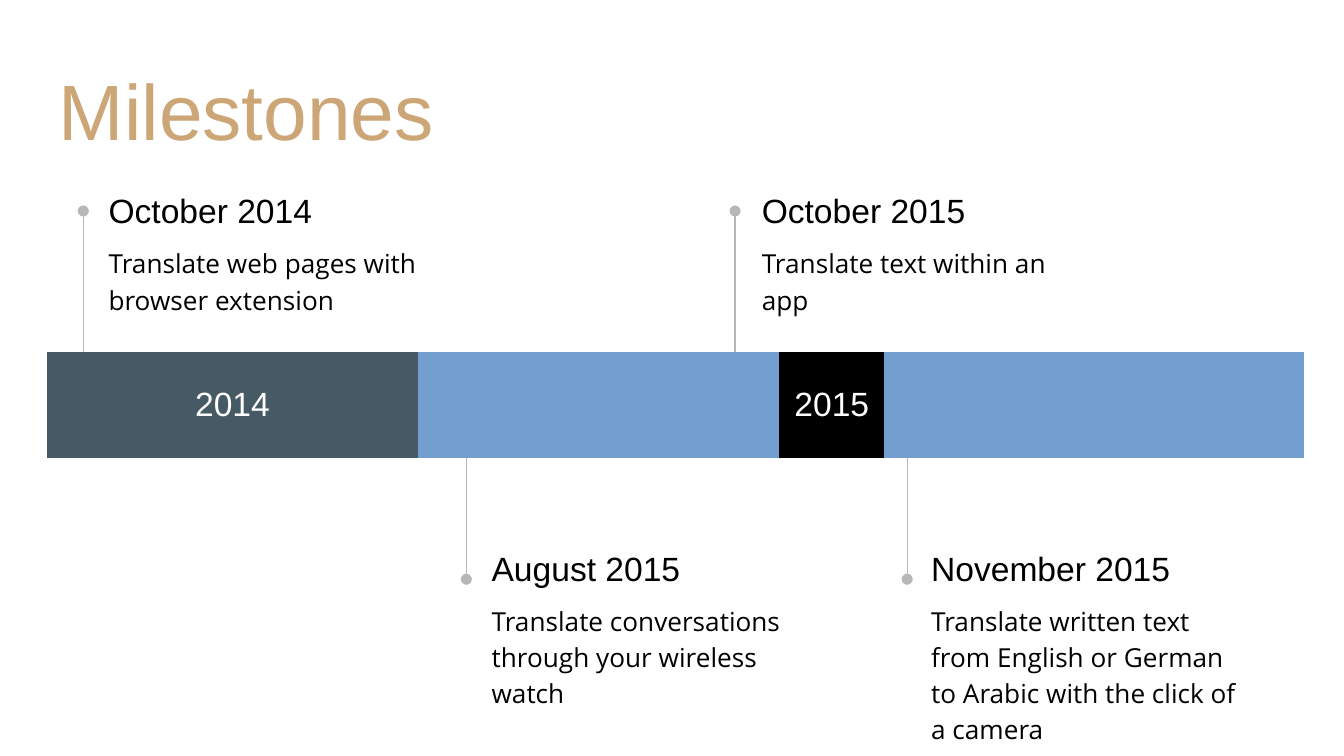
from lxml.etree import SubElement as Sub
from pptx import Presentation
from pptx.dml.color import RGBColor
from pptx.enum.shapes import MSO_CONNECTOR as Link
from pptx.enum.text import MSO_ANCHOR as Anchor, PP_ALIGN as Align
from pptx.oxml.ns import qn
from pptx.util import Inches, Pt

TITLE = "Milestones"
COLS = [0.78] * 3 + [0.42, 1.13] + [0.78] * 7
YEARS = [("2014", 0, 3, "455A64"), ("2015", 4, 11, "000000")]
EVENTS = [
    ("October 2014", "Translate web pages with browser extension", 0.62, 0.71, 2.53, True),
    ("August 2015", "Translate conversations through your wireless watch", 3.47, 3.56, 2.53, False),
    ("October 2015", "Translate text within an app", 5.47, 5.57, 2.57, True),
    ("November 2015",
     "Translate written text from English or German to Arabic with the click of a camera",
     6.75, 6.83, 2.57, False),
]
WIDE = 10
LEFT, TOP, TALL, SIDE = 0.35, 2.62, 0.79, 3.28
PLAIN = "{2D5ABB26-0587-4C30-8999-92F81FD0307C}"
HEAD = {"name": "Arial", "size": Pt(18)}
BODY = {"name": "Open Sans", "size": Pt(14)}
BIG = {"name": "Arial", "size": Pt(42)}
PAD = {f"margin_{side}": Inches(0.1) for side in ("left", "right", "top", "bottom")}


def color(code):
    return RGBColor.from_string(code)


def apply(item, values):
    for key, value in values.items():
        setattr(item, key, value)


def paint(cell, code):
    cell.fill.solid()
    cell.fill.fore_color.rgb = color(code)


def write(frame, text, font, code, **form):
    para = frame.paragraphs[0]
    apply(para, form)
    run = para.add_run()
    run.text = text
    apply(run.font, font)
    run.font.color.rgb = color(code)


def label(slide, box, text, font, code, anchor, **form):
    frame = slide.shapes.add_textbox(*map(Inches, box)).text_frame
    apply(frame, {**PAD, "word_wrap": True, "vertical_anchor": anchor})
    write(frame, text, font, code, **form)


def stem(slide, x, start, end):
    line = slide.shapes.add_connector(Link.STRAIGHT, *map(Inches, (x, start, x, end)))
    line.line.color.rgb = color("B7B7B7")
    line.line.width = Pt(0.75)
    Sub(line.line._get_or_add_ln(), qn("a:tailEnd"), type="oval")
    Sub(line._element.spPr, qn("a:effectLst"))


def bar(slide):
    frame = slide.shapes.add_table(1, len(COLS), *map(Inches, (LEFT, TOP, SIDE, SIDE)))
    table = frame.table
    apply(table, {"first_row": False, "horz_banding": False})
    table._tbl.tblPr.find(qn("a:tableStyleId")).text = PLAIN
    table.rows[0].height = Inches(TALL)
    for col, width in enumerate(COLS):
        table.columns[col].width = Inches(width)
        paint(table.cell(0, col), "729FCF")
    for text, first, last, fill in YEARS:
        cell = table.cell(0, first)
        cell.merge(table.cell(0, last))
        apply(cell, {**PAD, "vertical_anchor": Anchor.MIDDLE})
        paint(cell, fill)
        write(cell.text_frame, text, HEAD, "FFFFFF", alignment=Align.CENTER)
    apply(frame, {"width": Inches(SIDE), "height": Inches(SIDE)})


def main():
    deck = Presentation()
    apply(deck, {"slide_width": Inches(WIDE), "slide_height": Inches(WIDE * 9 / 16)})
    slide = deck.slides.add_slide(deck.slide_layouts[6])
    label(slide, (0.34, 0.35, 9.32, 0.91), TITLE, BIG, "CCA677", Anchor.BOTTOM)
    bar(slide)
    for date, text, x, left, width, above in EVENTS:
        start, end, top = (TOP, 1.57, 1.35) if above else (TOP + TALL, 4.31, 4.01)
        stem(slide, x, start, end)
        label(slide, (left, top, width, 0.43), date, HEAD, "000000", Anchor.MIDDLE)
        label(slide, (left, top + 0.36, width, 0.63), text, BODY, "000000", Anchor.TOP,
              line_spacing=1.15, space_after=Pt(16))
    deck.save("out.pptx")


if __name__ == "__main__":
    main()
